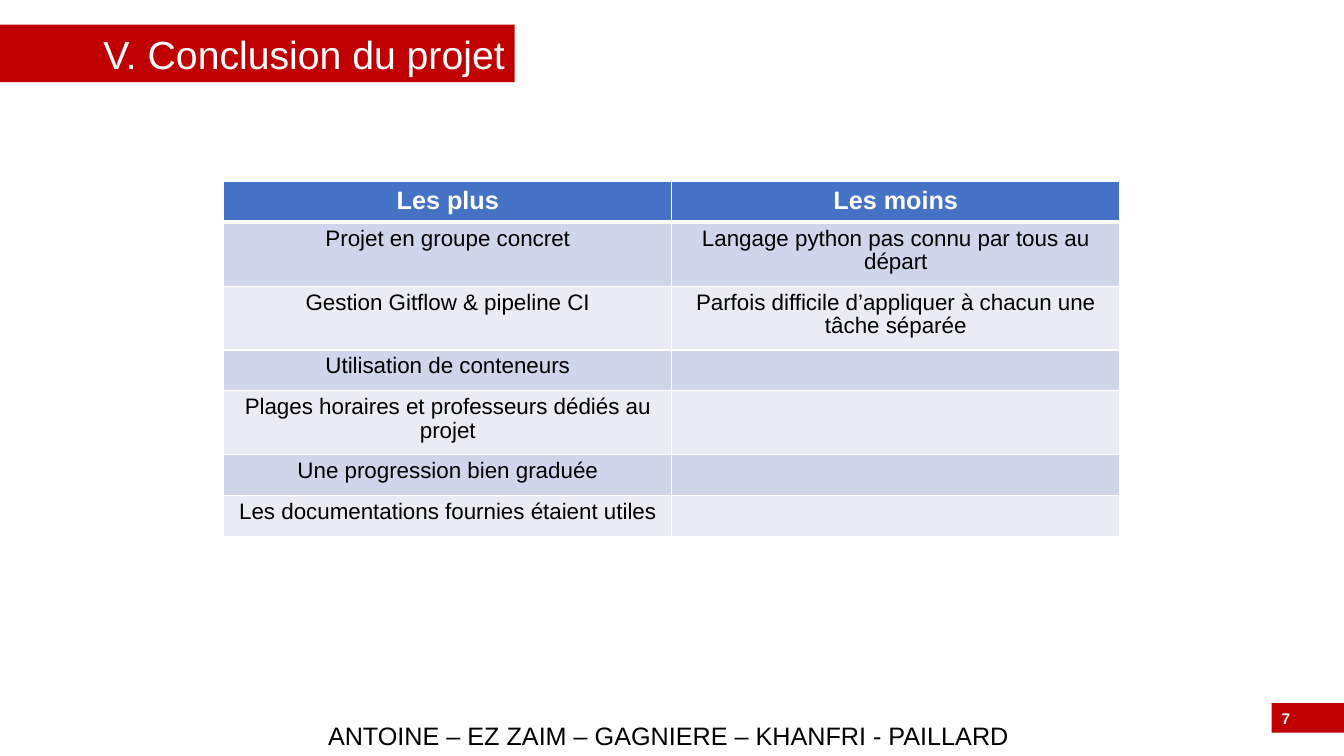
from dataclasses import dataclass

from lxml import etree
from pptx import Presentation
from pptx.dml.color import RGBColor
from pptx.enum.shapes import MSO_SHAPE
from pptx.enum.text import MSO_ANCHOR, MSO_AUTO_SIZE, PP_ALIGN
from pptx.oxml.ns import qn
from pptx.util import Cm, Pt

RECTANGLE = MSO_SHAPE.RECTANGLE
MIDDLE = MSO_ANCHOR.MIDDLE
NO_AUTOFIT = MSO_AUTO_SIZE.NONE
LEFT, CENTER, RIGHT = PP_ALIGN.LEFT, PP_ALIGN.CENTER, PP_ALIGN.RIGHT

RED = RGBColor(0xC0, 0x00, 0x00)
WHITE = RGBColor(0xFF, 0xFF, 0xFF)
PALE_GREY = RGBColor(0xF2, 0xF2, 0xF2)
BLACK = RGBColor(0x00, 0x00, 0x00)
HEADER_BLUE = RGBColor(0x44, 0x72, 0xC4)
BANDS = (RGBColor(0xCF, 0xD5, 0xEA), RGBColor(0xE9, 0xEB, 0xF5))

FONT = "Arial"
COLUMN_WIDTH = 11.29
SINGLE_ROW, DOUBLE_ROW = 1.03, 1.61


@dataclass(frozen=True)
class TextStyle:
    size: float
    color: RGBColor
    align: PP_ALIGN
    bold: bool = False


@dataclass(frozen=True)
class Row:
    plus: str
    minus: str = ""
    height: float = SINGLE_ROW


TITLE_STYLE = TextStyle(28, WHITE, RIGHT)
NUMBER_STYLE = TextStyle(11, PALE_GREY, LEFT, True)
AUTHORS_STYLE = TextStyle(18, BLACK, CENTER)
HEADER_STYLE = TextStyle(18, WHITE, CENTER, True)
BODY_STYLE = TextStyle(16, BLACK, CENTER)

ROWS = (
    Row("Les plus", "Les moins"),
    Row("Projet en groupe concret", "Langage python pas connu par tous au départ", DOUBLE_ROW),
    Row("Gestion Gitflow & pipeline CI",
        "Parfois difficile d’appliquer à chacun une tâche séparée", DOUBLE_ROW),
    Row("Utilisation de conteneurs"),
    Row("Plages horaires et professeurs dédiés au projet", height=DOUBLE_ROW),
    Row("Une progression bien graduée"),
    Row("Les documentations fournies étaient utiles"),
)


def write_text(frame, text: str, style: TextStyle) -> None:
    frame.word_wrap = True
    para = frame.paragraphs[0]
    para.text = text
    para.alignment = style.align
    font = para.font
    font.name, font.size, font.bold = FONT, Pt(style.size), style.bold
    font.color.rgb = style.color


def format_banner(shape, text: str, style: TextStyle) -> None:
    """Red block with vertically centred text."""
    shape.fill.solid()
    shape.fill.fore_color.rgb = RED
    shape.line.fill.background()
    write_text(shape.text_frame, text, style)
    shape.text_frame.auto_size = NO_AUTOFIT
    shape.text_frame.vertical_anchor = MIDDLE


def set_borders(cell, top: float, bottom: float) -> None:
    """White cell borders; widths in points, 1 pt on the sides."""
    properties = cell._tc.get_or_add_tcPr()
    widths = {"a:lnL": 1, "a:lnR": 1, "a:lnT": top, "a:lnB": bottom}
    for position, (tag, width) in enumerate(widths.items()):
        border = etree.Element(qn(tag), w=str(Pt(width)))
        fill = etree.SubElement(border, qn("a:solidFill"))
        etree.SubElement(fill, qn("a:srgbClr"), val=str(WHITE))
        properties.insert(position, border)


def add_review_table(page) -> None:
    total_height = sum(row.height for row in ROWS)
    table = page.shapes.add_table(len(ROWS), 2, Cm(5.64), Cm(4.57),
                                  Cm(2 * COLUMN_WIDTH), Cm(total_height)).table
    for column in table.columns:
        column.width = Cm(COLUMN_WIDTH)
    for index, row in enumerate(ROWS):
        table.rows[index].height = Cm(row.height)
        header = index == 0
        for column_index, text in enumerate((row.plus, row.minus)):
            cell = table.cell(index, column_index)
            cell.fill.solid()
            cell.fill.fore_color.rgb = HEADER_BLUE if header else BANDS[(index - 1) % 2]
            write_text(cell.text_frame, text, HEADER_STYLE if header else BODY_STYLE)
            if not header:
                cell.text_frame.paragraphs[0].line_spacing = 0.95
            set_borders(cell, top=3 if index == 1 else 1, bottom=3 if header else 1)


def main() -> None:
    deck = Presentation()
    deck.slide_width, deck.slide_height = Cm(33.87), Cm(19.05)
    page = deck.slides.add_slide(deck.slide_layouts[5])

    title = page.shapes.title
    title.left, title.top, title.width, title.height = Cm(-1.45), Cm(0.62), Cm(14.42), Cm(1.45)
    format_banner(title, "V. Conclusion du projet", TITLE_STYLE)

    authors = page.shapes.add_textbox(Cm(0), Cm(18.03), Cm(33.87), Cm(1.02))
    write_text(authors.text_frame, "ANTOINE – EZ ZAIM – GAGNIERE – KHANFRI - PAILLARD ",
               AUTHORS_STYLE)

    number = page.shapes.add_shape(RECTANGLE, Cm(32.05), Cm(17.72), Cm(2.24), Cm(0.74))
    number.shadow.inherit = False
    format_banner(number, "7", NUMBER_STYLE)

    add_review_table(page)
    deck.save("out.pptx")


if __name__ == "__main__":
    main()
